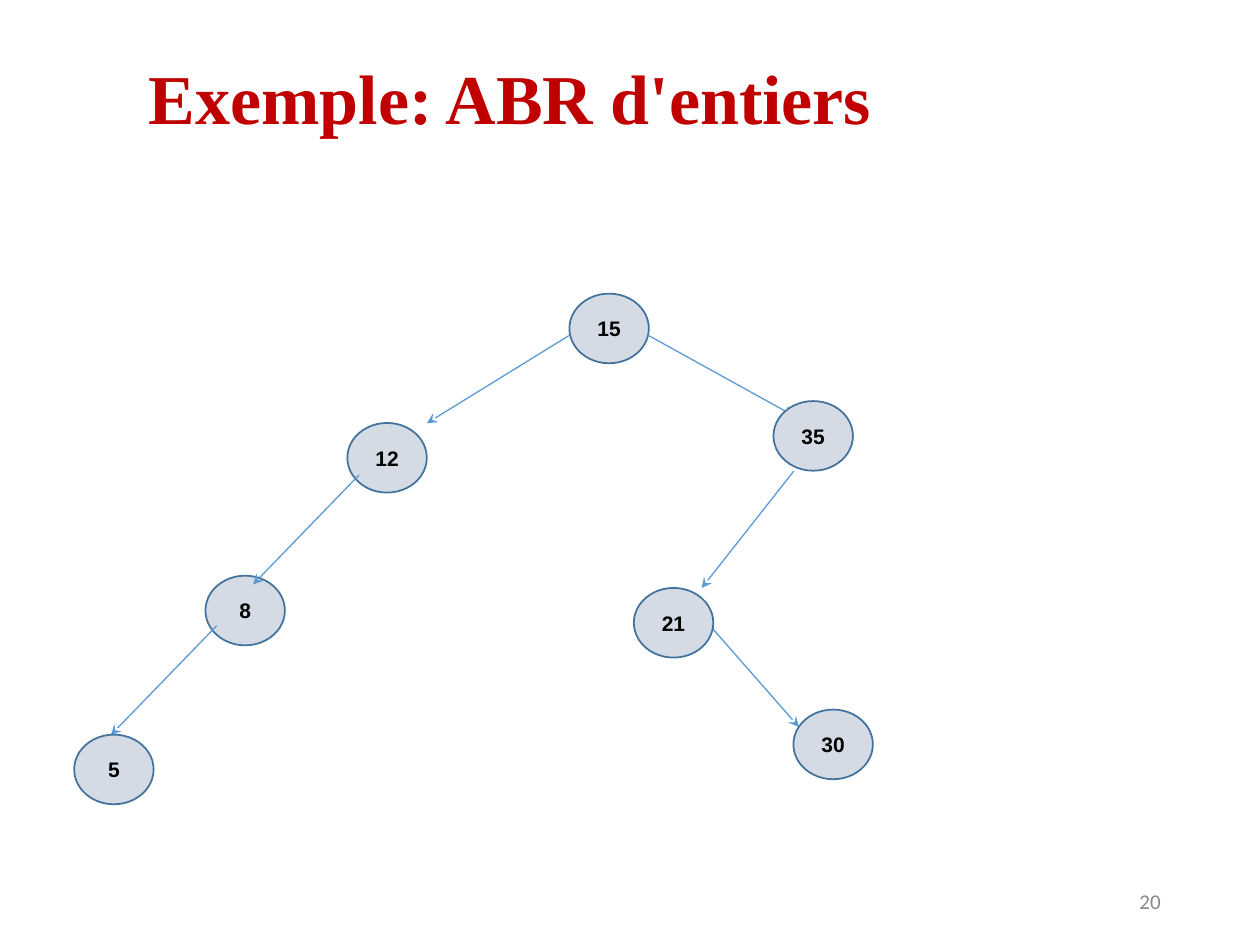
from dataclasses import dataclass

from lxml import etree
from pptx import Presentation
from pptx.dml.color import RGBColor
from pptx.enum import shapes, text
from pptx.oxml import ns
from pptx.util import Pt


@dataclass(frozen=True)
class Theme:
    title: RGBColor = RGBColor(0xC0, 0x00, 0x00)
    node_fill: RGBColor = RGBColor(0xD5, 0xDB, 0xE5)
    node_line: RGBColor = RGBColor(0x42, 0x71, 0x9B)
    key: RGBColor = RGBColor(0x00, 0x00, 0x00)
    edge: RGBColor = RGBColor(0x5B, 0x9B, 0xD5)
    number: RGBColor = RGBColor(0x88, 0x88, 0x88)
    title_size: int = 40
    small_size: int = 12


THEME = Theme()
TITLE = "Exemple: ABR d'entiers"
TITLE_BOX = (77.8, 23.8, 432, 77.8)
PAGE_NUMBER = "20"
NUMBER_BOX = (508.3, 500.4, 162, 28.8)
NODE_SIZE = (45.4, 39.8)

# Key: left, top. Some nodes lie under the arrows, the others cover them.
NODES_UNDER = {15: (325.4, 167.8), 12: (198.5, 241.7), 8: (117.4, 329)}
NODES_OVER = {35: (442, 229.2), 21: (362.2, 336), 30: (453.4, 405.5), 5: (42.4, 419.8)}

# (parent, child): start x, start y, end x, end y
EDGES = {
    (15, 12): (325.4, 191.6, 244, 241.8),
    (15, 35): (370.4, 191.6, 453.6, 237.6),
    (12, 8): (205.2, 271.4, 144.6, 334),
    (35, 21): (453.6, 269.2, 401, 336),
    (21, 30): (407, 359, 456.5, 415.4),
    (8, 5): (123.8, 357.6, 63.4, 420),
}


def points(values):
    return [Pt(value) for value in values]


def write(shape, words, font_name, size, color, alignment, bold=False):
    frame = shape.text_frame
    frame.word_wrap = True
    frame.vertical_anchor = text.MSO_ANCHOR.MIDDLE
    paragraph = frame.paragraphs[0]
    paragraph.text = words
    paragraph.alignment = alignment
    font = paragraph.font
    font.name, font.size, font.bold = font_name, Pt(size), bold
    font.color.rgb = color


def add_title(slide):
    title = slide.shapes.title
    title.left, title.top, title.width, title.height = points(TITLE_BOX)
    write(title, TITLE, "Times New Roman", THEME.title_size, THEME.title,
          text.PP_ALIGN.LEFT, bold=True)
    title.text_frame.auto_size = text.MSO_AUTO_SIZE.NONE
    title.text_frame.margin_bottom = Pt(19)


def add_nodes(slide, nodes):
    for key, position in nodes.items():
        node = slide.shapes.add_shape(
            shapes.MSO_SHAPE.OVAL, *points(position + NODE_SIZE))
        node.shadow.inherit = False
        node.fill.solid()
        node.fill.fore_color.rgb = THEME.node_fill
        node.line.color.rgb = THEME.node_line
        node.line.width = Pt(1)
        write(node, str(key), "Arial", THEME.small_size, THEME.key,
              text.PP_ALIGN.CENTER, bold=True)


def add_edges(slide):
    for ends in EDGES.values():
        edge = slide.shapes.add_connector(
            shapes.MSO_CONNECTOR.STRAIGHT, *points(ends))
        edge.line.color.rgb = THEME.edge
        edge.line.width = Pt(0.75)
        etree.SubElement(edge.line._get_or_add_ln(), ns.qn("a:tailEnd"), type="stealth")
        etree.SubElement(edge._element.spPr, ns.qn("a:effectLst"))


def main():
    presentation = Presentation()
    presentation.slide_width, presentation.slide_height = Pt(720), Pt(540)
    slide = presentation.slides.add_slide(
        presentation.slide_layouts.get_by_name("Title Only"))
    add_title(slide)
    add_nodes(slide, NODES_UNDER)
    add_edges(slide)
    add_nodes(slide, NODES_OVER)
    number = slide.shapes.add_textbox(*points(NUMBER_BOX))
    write(number, PAGE_NUMBER, "Calibri", THEME.small_size, THEME.number,
          text.PP_ALIGN.RIGHT)
    presentation.save("out.pptx")


if __name__ == "__main__":
    main()
